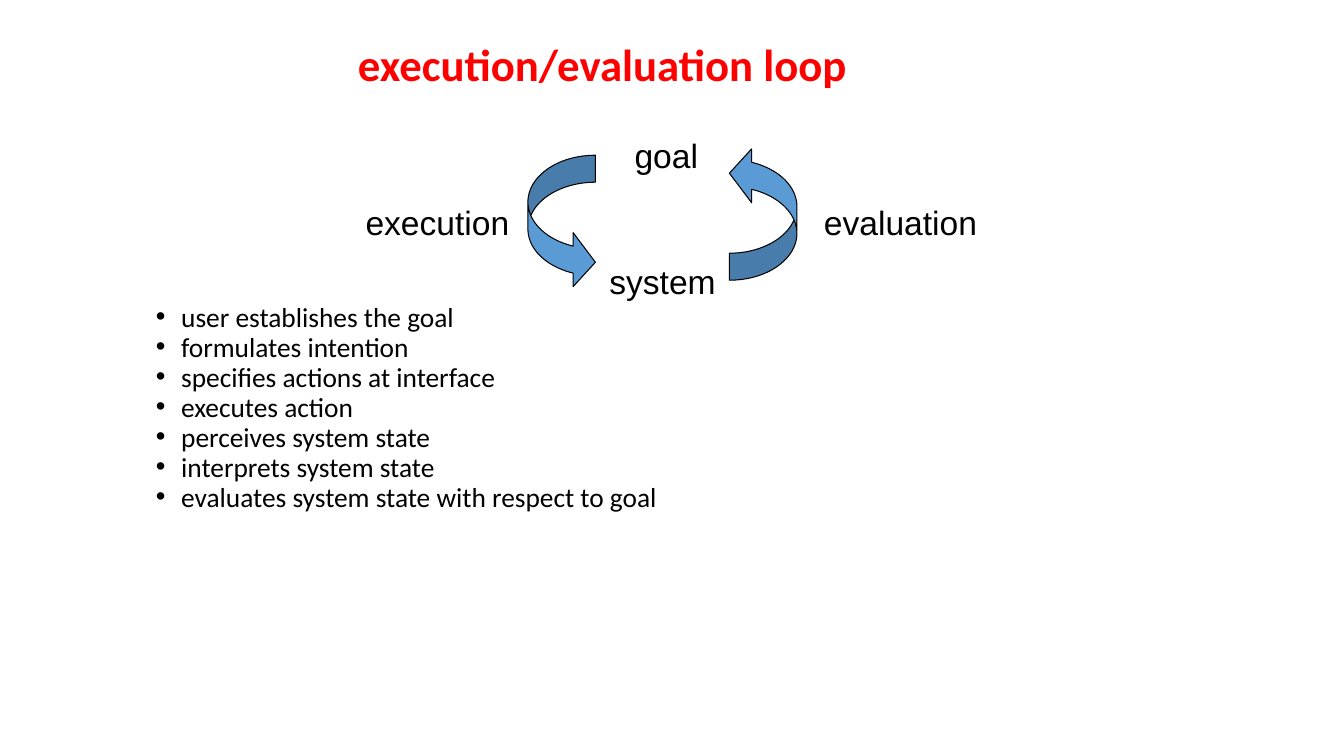
from lxml.etree import SubElement
from pptx import Presentation
from pptx.dml.color import RGBColor
from pptx.enum.shapes import MSO_SHAPE as SHAPE
from pptx.enum.text import MSO_ANCHOR as ANCHOR, PP_ALIGN as ALIGN
from pptx.oxml.ns import qn
from pptx.util import Inches, Pt

RED, BLACK, BLUE = "FF0000", "000000", "5B9BD5"

LABELS = [
    ("goal", 6.2, 1.29, 0.88),
    ("execution", 3.53, 1.95, 1.68),
    ("evaluation", 8.08, 1.95, 1.78),
    ("system", 5.95, 2.54, 1.3),
]
STEPS = [
    "user establishes the goal",
    "formulates intention",
    "specifies actions at interface",
    "executes action",
    "perceives system state",
    "interprets system state",
    "evaluates system state with respect to goal",
]


def color(value):
    return RGBColor.from_string(value)


def write(p, text, size=24, font="Arial", fill=BLACK, bold=False,
          align=ALIGN.LEFT, spacing=1.0, before=0):
    p.alignment = align
    p.line_spacing = spacing
    p.space_before = Pt(before)
    r = p.add_run()
    r.text = text
    r.font.size = Pt(size)
    r.font.name = font
    r.font.bold = bold
    r.font.color.rgb = color(fill)


def add_bullet(p, indent=0.25):
    pPr = p._p.get_or_add_pPr()
    pPr.set("marL", str(Inches(indent)))
    pPr.set("indent", str(-Inches(indent)))
    SubElement(pPr, qn("a:buFont")).set("typeface", "Arial")
    SubElement(pPr, qn("a:buChar")).set("char", "•")


def add_title(slide, text):
    sp = slide.shapes.title
    sp.left, sp.top = Inches(2.23), Inches(0.04)
    sp.width, sp.height = Inches(7.5), Inches(1.25)
    tf = sp.text_frame
    tf.vertical_anchor = ANCHOR.MIDDLE
    write(tf.paragraphs[0], text, size=32, font="Calibri", fill=RED,
          bold=True, align=ALIGN.CENTER, spacing=0.9)


def add_label(slide, text, left, top, width):
    sp = slide.shapes.add_textbox(Inches(left), Inches(top),
                                  Inches(width), Inches(0.5))
    sp.text_frame.word_wrap = True
    write(sp.text_frame.paragraphs[0], text)


def add_list(slide, items):
    sp = slide.shapes.add_textbox(Inches(1.45), Inches(3.02),
                                  Inches(10.5), Inches(2.3))
    tf = sp.text_frame
    tf.word_wrap = True
    for i, item in enumerate(items):
        p = tf.add_paragraph() if i else tf.paragraphs[0]
        add_bullet(p)
        write(p, item, size=19.6, font="Calibri", spacing=0.7,
              before=5 if i else 0)


def add_loop_arrow(slide, left, top, rotation=0):
    sp = slide.shapes.add_shape(SHAPE.CURVED_RIGHT_ARROW, Inches(left),
                                Inches(top), Inches(0.67), Inches(1.33))
    for i, value in enumerate((0.4, 0.8, 0.33)):
        sp.adjustments[i] = value
    sp.rotation = rotation
    sp.shadow.inherit = False
    sp.fill.solid()
    sp.fill.fore_color.rgb = color(BLUE)
    sp.line.color.rgb = color(BLACK)
    sp.line.width = Pt(0.75)


def main():
    prs = Presentation()
    prs.slide_width, prs.slide_height = Inches(13.34), Inches(7.5)
    slide = prs.slides.add_slide(prs.slide_layouts[5])

    add_title(slide, "execution/evaluation loop")

    # Loop between goal and system
    add_loop_arrow(slide, 5.24, 1.54)
    add_loop_arrow(slide, 7.24, 1.45, rotation=180)
    for label in LABELS:
        add_label(slide, *label)

    # Steps of the loop
    add_list(slide, STEPS)

    prs.save("out.pptx")


if __name__ == "__main__":
    main()
